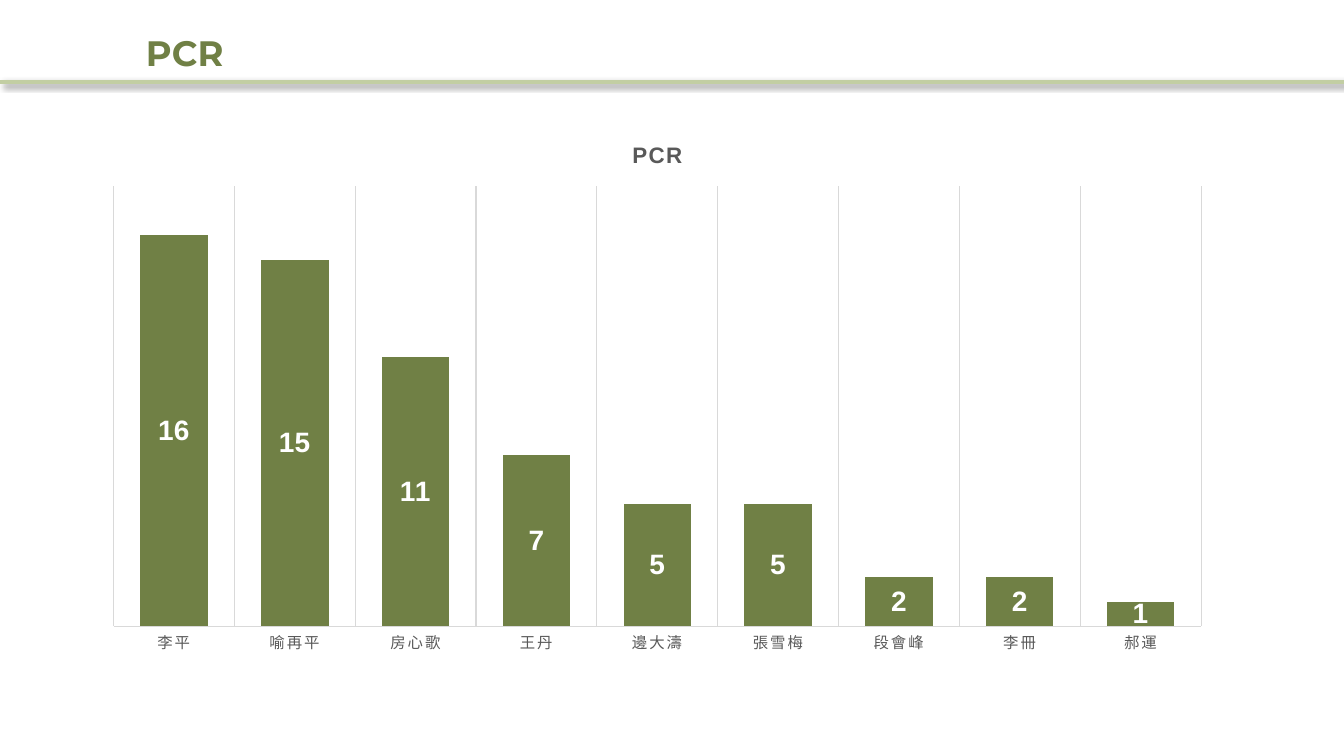
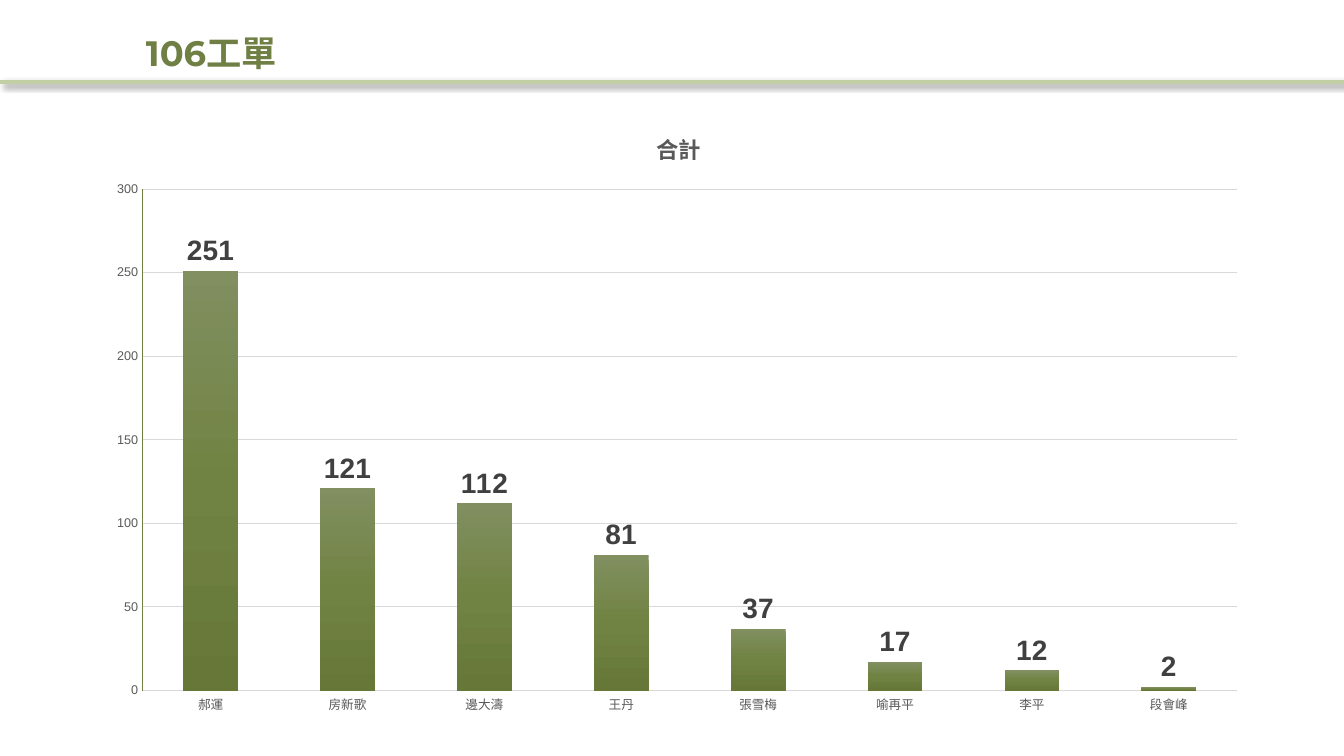
from dataclasses import dataclass

from pptx import Presentation
from pptx import util as u
from pptx.chart.data import CategoryChartData
from pptx.dml.color import RGBColor
from pptx.enum import chart as chart_enum, shapes, text
from pptx.oxml import parse_xml
from pptx.oxml.ns import nsdecls, qn


@dataclass(frozen=True)
class Theme:
    green: str = "708045"
    rule: str = "C2CEA3"
    grid: str = "D9D9D9"
    grey: str = "595959"
    dark: str = "404040"
    white: str = "FFFFFF"
    heading_font: str = "Montserrat"
    chart_font: str = "Arial"
    heading_size: float = 25.2
    chart_title_size: int = 16
    label_size: int = 20
    base_size: int = 10


THEME = Theme()
WIDTH, HEIGHT = u.Cm(33.87), u.Cm(19.05)
RULE_TOP = u.Cm(2.06)
HEADING_BOX = (3.43, 0.81, 28.09, 1.14)

SLIDES = [
    {
        "heading": "PCR",
        "chart_title": "PCR",
        "data": [("李平", 16), ("喻再平", 15), ("房心歌", 11), ("王丹", 7), ("邊大濤", 5),
                 ("張雪梅", 5), ("段會峰", 2), ("李冊", 2), ("郝運", 1)],
        "type": chart_enum.XL_CHART_TYPE.COLUMN_STACKED,
        "box": (2.29, 3.05, 28.55, 13.69),
        "plot": {"x": 0.02, "y": 0.12, "w": 0.96, "h": 0.81},
        "gap": 79, "overlap": 100, "maximum": 18, "step": 2,
        "fill": [(0, THEME.green)],
        "label": (THEME.white, chart_enum.XL_LABEL_POSITION.CENTER),
        "axis_size": 11, "axis_width": 0.75, "spacing": 120,
        "show_values": False,
    },
    {
        "heading": "106工單",
        "chart_title": "合計",
        "data": [("郝運", 251), ("房新歌", 121), ("邊大濤", 112), ("王丹", 81),
                 ("張雪梅", 37), ("喻再平", 17), ("李平", 12), ("段會峰", 2)],
        "type": chart_enum.XL_CHART_TYPE.COLUMN_CLUSTERED,
        "box": (2.41, 2.74, 29.36, 15.6),
        "plot": {"x": 0.04, "y": 0.13, "w": 0.94, "h": 0.81},
        "gap": 150, "overlap": 0, "maximum": 300, "step": 50,
        "fill": [(0, "818F61"), (50, "718342"), (100, "667738")],
        "label": (THEME.dark, chart_enum.XL_LABEL_POSITION.OUTSIDE_END),
        "axis_size": 9, "axis_width": 1, "spacing": 0,
        "show_values": True,
    },
]


def apply(target, **values):
    for name, value in values.items():
        setattr(target, name, value)


def style_font(font, name, size, color, bold=False, spacing=0):
    apply(font, name=name, size=u.Pt(size), bold=bold)
    font.color.rgb = RGBColor.from_string(color)
    if spacing:
        font._rPr.set("spc", str(spacing))


def style_line(line, color, width):
    line.color.rgb = RGBColor.from_string(color)
    line.width = u.Pt(width)


def add_header(slide, heading):
    rule = slide.shapes.add_connector(
        shapes.MSO_CONNECTOR.STRAIGHT, 0, RULE_TOP, WIDTH, RULE_TOP)
    style_line(rule.line, THEME.rule, 3)
    rule._element.spPr.append(parse_xml(
        f'<a:effectLst {nsdecls("a")}><a:outerShdw blurRad="{u.Pt(4)}" dist="{u.Pt(3)}" '
        'dir="2700000" algn="tl" rotWithShape="0"><a:srgbClr val="000000">'
        '<a:alpha val="40000"/></a:srgbClr></a:outerShdw></a:effectLst>'))

    frame = slide.shapes.add_textbox(*map(u.Cm, HEADING_BOX)).text_frame
    apply(frame, word_wrap=True, vertical_anchor=text.MSO_ANCHOR.MIDDLE)
    paragraph = frame.paragraphs[0]
    paragraph.line_spacing = 0.9
    run = paragraph.add_run()
    run.text = heading
    style_font(run.font, THEME.heading_font, THEME.heading_size, THEME.green, True)


def fill_series(series, stops):
    """Fill the columns with one colour, or with a top-to-bottom gradient."""
    if len(stops) == 1:
        series.format.fill.solid()
        series.format.fill.fore_color.rgb = RGBColor.from_string(stops[0][1])
        return
    stop_xml = "".join(
        f'<a:gs pos="{position * 1000}"><a:srgbClr val="{color}"/></a:gs>'
        for position, color in stops)
    series._element.get_or_add_spPr().insert(0, parse_xml(
        f'<a:gradFill {nsdecls("a")} rotWithShape="1"><a:gsLst>{stop_xml}</a:gsLst>'
        '<a:lin ang="5400000" scaled="0"/></a:gradFill>'))


def place_plot(chart, fractions):
    """Fix the inner plot area as fractions of the chart frame."""
    area = chart._chartSpace.chart.plotArea
    for layout in area.findall(qn("c:layout")):
        area.remove(layout)
    sizes = "".join(f'<c:{key} val="{value}"/>' for key, value in fractions.items())
    area.insert(0, parse_xml(
        f'<c:layout {nsdecls("c")}><c:manualLayout><c:layoutTarget val="inner"/>'
        f'<c:xMode val="edge"/><c:yMode val="edge"/>{sizes}</c:manualLayout></c:layout>'))


def style_axes(chart, content):
    category, value = chart.category_axis, chart.value_axis
    show_values = content["show_values"]
    apply(value, minimum_scale=0, maximum_scale=content["maximum"],
          major_unit=content["step"], visible=show_values)
    category.has_major_gridlines = not show_values
    value.has_major_gridlines = show_values
    gridded = value if show_values else category
    style_line(gridded.major_gridlines.format.line, THEME.grid, 0.75)
    style_line(category.format.line, THEME.grid, content["axis_width"])
    style_line(value.format.line, THEME.green, 0.75)
    for axis in (category, value):
        axis.major_tick_mark = chart_enum.XL_TICK_MARK.NONE
        style_font(axis.tick_labels.font, THEME.chart_font, content["axis_size"],
                   THEME.grey, spacing=content["spacing"])


def add_column_chart(slide, content):
    names, values = zip(*content["data"])
    chart_data = CategoryChartData()
    chart_data.categories = names
    chart_data.add_series(content["chart_title"], values)
    chart = slide.shapes.add_chart(
        content["type"], *map(u.Cm, content["box"]), chart_data).chart
    style_font(chart.font, THEME.chart_font, THEME.base_size, "000000")
    apply(chart, has_legend=False, has_title=True)

    frame = chart.chart_title.text_frame
    frame.text = content["chart_title"]
    style_font(frame.paragraphs[0].runs[0].font, THEME.chart_font,
               THEME.chart_title_size, THEME.grey, True, content["spacing"])
    chart.chart_title.include_in_layout = False

    plot = chart.plots[0]
    apply(plot, gap_width=content["gap"], overlap=content["overlap"],
          vary_by_categories=False, has_data_labels=True)
    color, position = content["label"]
    apply(plot.data_labels, show_value=True, position=position)
    style_font(plot.data_labels.font, THEME.chart_font, THEME.label_size, color, True)
    fill_series(plot.series[0], content["fill"])
    style_axes(chart, content)
    place_plot(chart, content["plot"])


def main():
    presentation = Presentation()
    apply(presentation, slide_width=WIDTH, slide_height=HEIGHT)
    for content in SLIDES:
        slide = presentation.slides.add_slide(presentation.slide_layouts[6])
        add_header(slide, content["heading"])
        add_column_chart(slide, content)
    presentation.save("out.pptx")


if __name__ == "__main__":
    main()
